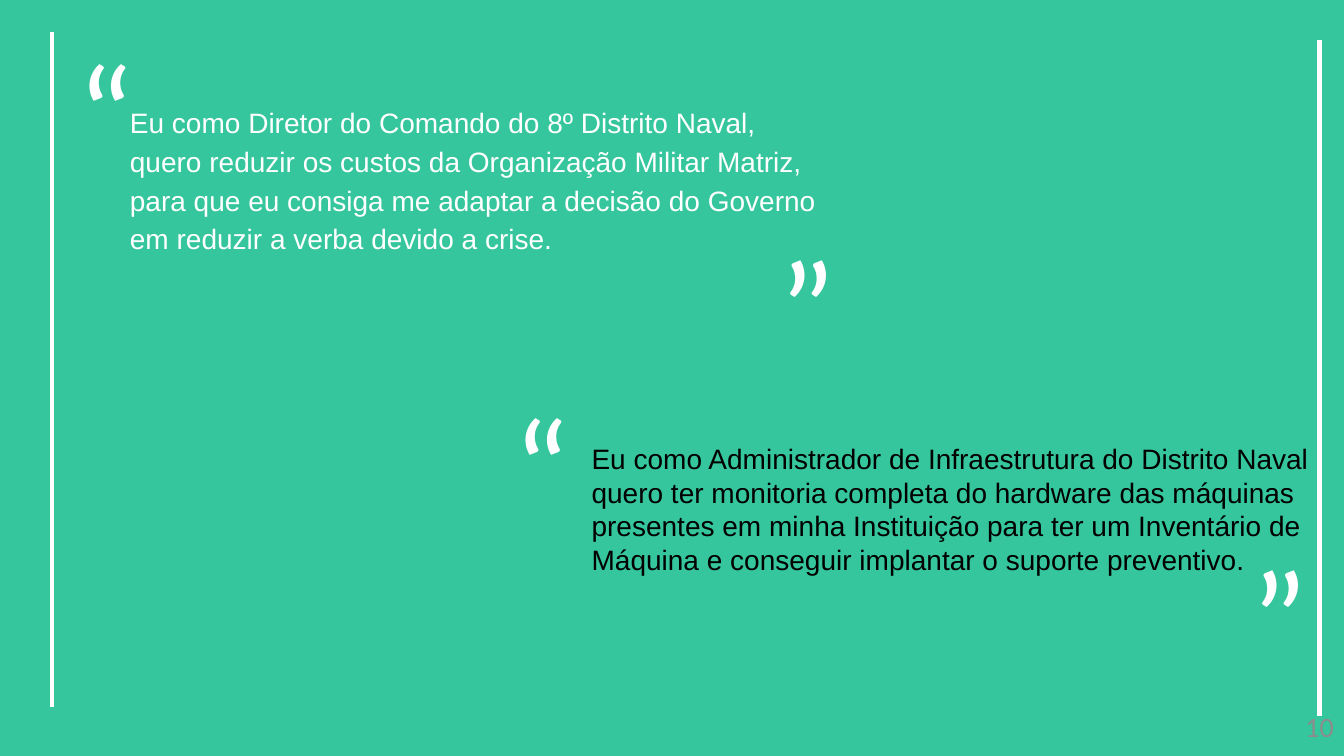
from lxml import etree
from pptx import Presentation
from pptx.dml.color import RGBColor
from pptx.enum.shapes import MSO_CONNECTOR, MSO_SHAPE
from pptx.enum.text import MSO_ANCHOR, PP_ALIGN
from pptx.oxml.ns import qn
from pptx.util import Inches, Pt

RECT = MSO_SHAPE.RECTANGLE
STRAIGHT = MSO_CONNECTOR.STRAIGHT
MIDDLE = MSO_ANCHOR.MIDDLE
RIGHT = PP_ALIGN.RIGHT

GREEN = RGBColor(0x35, 0xC6, 0x9D)
WHITE = RGBColor(0xFF, 0xFF, 0xFF)
BLACK = RGBColor(0x00, 0x00, 0x00)
GREY = RGBColor(0x8C, 0x8C, 0x8C)

WIDTH, HEIGHT = Inches(13.333), Inches(7.5)
MARK = (11.55, 22.93)

DIRECTOR = (
    "Eu como Diretor do Comando do 8º Distrito Naval, quero reduzir os custos "
    "da Organização Militar Matriz, para que eu consiga me adaptar a decisão "
    "do Governo em reduzir a verba devido a crise."
)
ADMIN = (
    "Eu como Administrador de Infraestrutura do Distrito Naval quero ter "
    "monitoria completa do hardware das máquinas presentes em minha "
    "Instituição para ter um Inventário de Máquina e conseguir implantar o "
    "suporte preventivo."
)


def across(share):
    return round(WIDTH * share / 100)


def down(share):
    return round(HEIGHT * share / 100)


def place(x, y, w, h):
    """Turn percentages of the slide into lengths."""
    return across(x), down(y), across(w), down(h)


def add_ground(slide):
    ground = slide.shapes.add_shape(RECT, *place(0, 0, 100, 100))
    ground.shadow.inherit = False
    ground.fill.solid()
    ground.fill.fore_color.rgb = GREEN
    ground.line.fill.background()


def add_text(slide, box, text, color, size=20, face="Arial"):
    frame = slide.shapes.add_textbox(*place(*box)).text_frame
    frame.word_wrap = True
    para = frame.paragraphs[0]
    para.text = text
    para.font.name = face
    para.font.size = Pt(size)
    para.font.color.rgb = color
    return frame


def add_marks(slide, start, end):
    """Put the opening and closing marks around a quote."""
    for mark, spot in (("“", start), ("”", end)):
        add_text(slide, spot + MARK, mark, WHITE, 96, "Calibri")


def add_rule(slide, x, top, base):
    rule = slide.shapes.add_connector(
        STRAIGHT, across(x), down(top), across(x), down(base)
    )
    rule.line.color.rgb = WHITE
    rule.line.width = Pt(3)
    etree.SubElement(rule._element.spPr, qn("a:effectLst"))


def main():
    deck = Presentation()
    deck.slide_width, deck.slide_height = WIDTH, HEIGHT
    slide = deck.slides.add_slide(deck.slide_layouts[6])
    add_ground(slide)

    quote = add_text(slide, (8.93, 12.67, 53.93, 32.27), DIRECTOR, WHITE)
    quote.paragraphs[0].line_spacing = 1.15
    quote.paragraphs[0].space_before = Pt(12)
    add_text(slide, (43.28, 57.73, 56.7, 23.33), ADMIN, BLACK)

    add_marks(slide, (5.03, 2.93), (57.3, 28.53))
    add_marks(slide, (37.5, 49.73), (92.4, 69.6))
    add_rule(slide, 3.9, 4.27, 93.47)
    add_rule(slide, 98.18, 5.33, 94.67)

    number = add_text(
        slide, (77.48, 93.47, 22.5, 5.33), "10", GREY, face="Calibri"
    )
    number.vertical_anchor = MIDDLE
    number.paragraphs[0].alignment = RIGHT

    deck.save("out.pptx")


if __name__ == "__main__":
    main()
